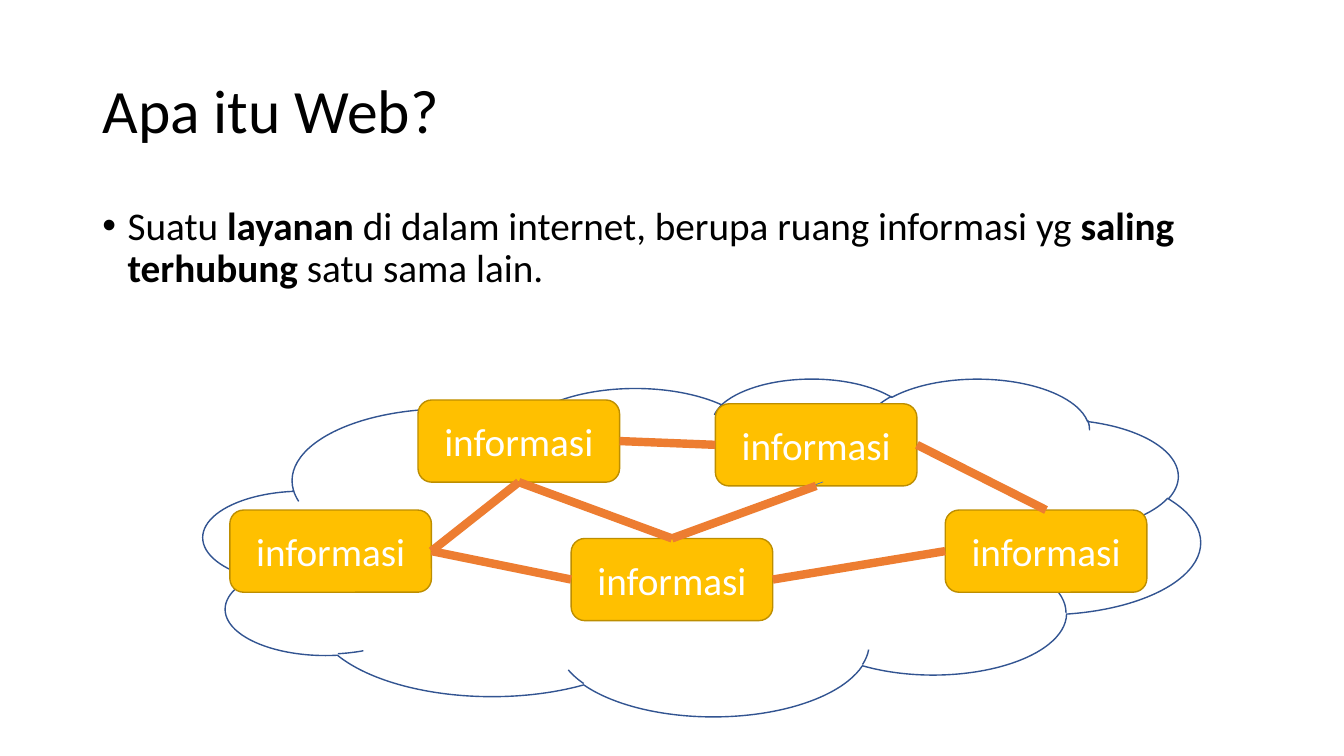
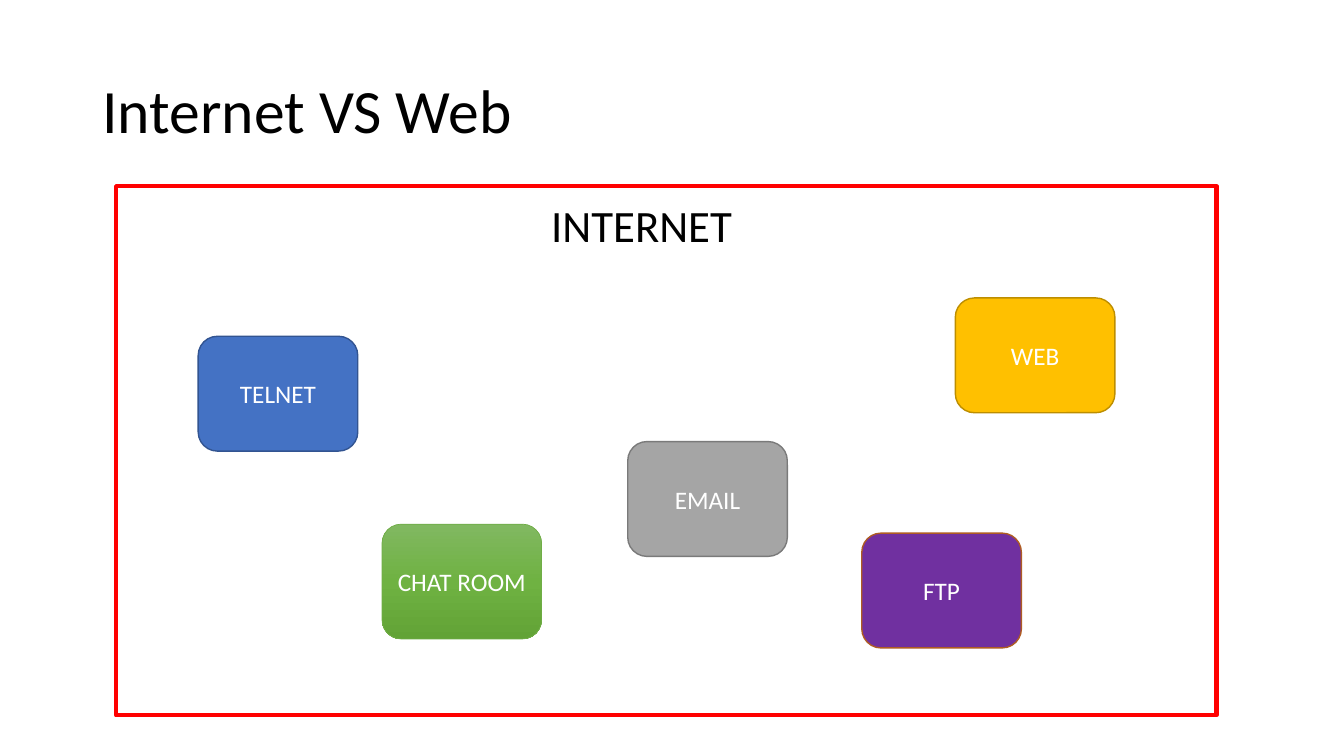
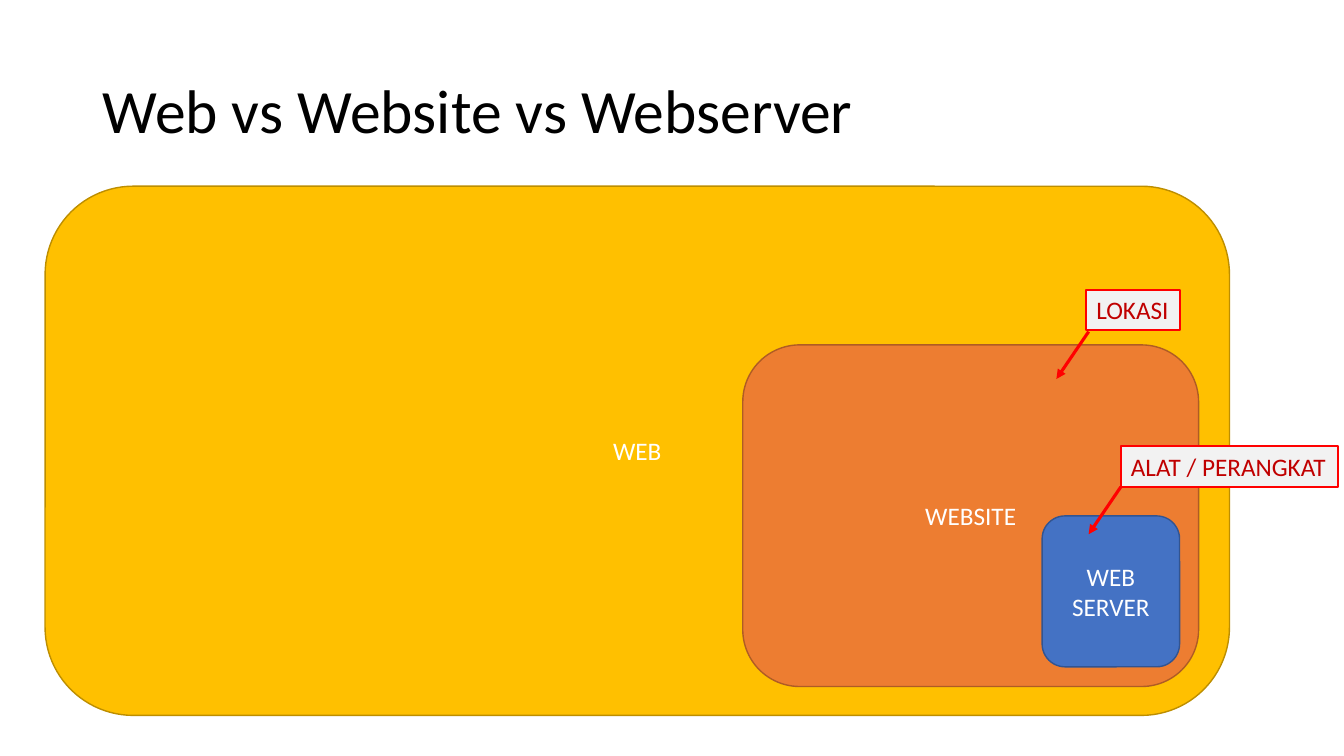
"""Builds three slides that explain the web, the internet and web servers."""
import copy

import pptx
import pptx.dml.color
import pptx.enum.shapes
import pptx.enum.text
import pptx.oxml
import pptx.oxml.ns
import pptx.util

Pt = pptx.util.Pt
RGB = pptx.dml.color.RGBColor
SHAPE = pptx.enum.shapes.MSO_SHAPE
ALIGN = pptx.enum.text.PP_ALIGN
ANCHOR = pptx.enum.text.MSO_ANCHOR
AUTO_SIZE = pptx.enum.text.MSO_AUTO_SIZE
qn = pptx.oxml.ns.qn

FONT = "Calibri"
BLACK = RGB(0x00, 0x00, 0x00)
WHITE = RGB(0xFF, 0xFF, 0xFF)
RED = RGB(0xFF, 0x00, 0x00)
DARK_RED = RGB(0xC0, 0x00, 0x00)
PALE_GREY = RGB(0xF2, 0xF2, 0xF2)
GOLD, GOLD_EDGE = RGB(0xFF, 0xC0, 0x00), RGB(0xBD, 0x8E, 0x00)
BLUE, BLUE_EDGE = RGB(0x44, 0x72, 0xC4), RGB(0x32, 0x54, 0x91)
GREY, GREY_EDGE = RGB(0xA5, 0xA5, 0xA5), RGB(0x7A, 0x7A, 0x7A)
ORANGE, ORANGE_EDGE = RGB(0xED, 0x7D, 0x31), RGB(0xAF, 0x5C, 0x24)
PURPLE = RGB(0x70, 0x30, 0xA0)
GREEN_EDGE = RGB(0x70, 0xAD, 0x47)
GREENS = (RGB(0x81, 0xB8, 0x61), RGB(0x6F, 0xB2, 0x42), RGB(0x62, 0xA3, 0x36))

TITLE_AREA = (66, 28.8, 828, 104.4)
BODY_AREA = (66, 144, 828, 342.6)
TOP, BOTTOM, LEFT, RIGHT = 0, 2, 1, 3

DEFINITION = [
    ("Suatu ", False),
    ("layanan", True),
    (" di dalam internet, berupa ruang informasi yg ", False),
    ("saling terhubung ", True),
    ("satu sama lain.", False),
]
CLOUD_AREA = (145.4, 270, 712, 241.2)
NODE_SIZE = (144, 58.7)
NODES = {
    "west": (164.2, 364.3),
    "northwest": (298.6, 285.7),
    "northeast": (511, 288.4),
    "east": (675.2, 364.3),
    "centre": (408, 384.6),
}
LINKS = [
    (("northwest", BOTTOM), ("centre", TOP), ORANGE, 6),
    (("northeast", BOTTOM), ("centre", TOP), BLUE, 0.5),
    (("centre", TOP), (588, 344.2), BLUE, 0.5),
    (("centre", TOP), ("northeast", BOTTOM), ORANGE, 6),
    (("northwest", RIGHT), ("northeast", LEFT), ORANGE, 6),
    (("centre", RIGHT), ("east", LEFT), ORANGE, 6),
    (("west", RIGHT), ("centre", LEFT), ORANGE, 6),
    (("west", RIGHT), ("northwest", BOTTOM), ORANGE, 6),
    (("northeast", RIGHT), ("east", TOP), ORANGE, 6),
]

INTERNET_AREA = (83, 133, 786, 378)
INTERNET_LABEL_AREA = (386.6, 137.5, 144.7, 46)
SERVICE_SIZE = (114, 82)
SERVICES = [
    ("WEB", (682.4, 212.8), GOLD, GOLD_EDGE, 1),
    ("TELNET", (141.6, 240.2), BLUE, BLUE_EDGE, 1),
    ("EMAIL", (448.4, 315.4), GREY, GREY_EDGE, 1),
    ("CHAT ROOM", (272.9, 374.4), GREENS, GREEN_EDGE, 0.5),
    ("FTP", (615.6, 380.8), PURPLE, ORANGE_EDGE, 1),
]

LAYERS = [
    ("WEB", (32.2, 133, 846, 378), GOLD, GOLD_EDGE),
    ("WEBSITE", (530.6, 246.4, 325.6, 244), ORANGE, ORANGE_EDGE),
    ("WEB SERVER", (744.4, 368.5, 98.2, 107.8), BLUE, BLUE_EDGE),
]
CALLOUTS = [
    ("LOKASI", (776, 207, 67, 29), (777.6, 236.9)),
    ("ALAT / PERANGKAT", (800.7, 318.8, 154.8, 29), (800.6, 347.8)),
]
ARROW_REACH = (-23, 33.8)


def write(frame, text, size=18, colour=WHITE, align=ALIGN.LEFT,
          anchor=ANCHOR.TOP, wrap=True, spacing=None, bullet_indent=None):
    """Fill a text frame with one paragraph of plain or (text, bold) runs."""
    frame.auto_size = AUTO_SIZE.NONE if wrap else AUTO_SIZE.SHAPE_TO_FIT_TEXT
    frame.word_wrap = wrap
    frame.vertical_anchor = anchor
    paragraph = frame.paragraphs[0]
    if bullet_indent:
        properties = paragraph._p.get_or_add_pPr()
        properties.set("marL", str(Pt(bullet_indent)))
        properties.set("indent", str(-Pt(bullet_indent)))
        properties.append(pptx.oxml.parse_xml(
            '<a:buChar xmlns:a="http://schemas.openxmlformats.org/'
            'drawingml/2006/main" char="•"/>'))
    paragraph.alignment = align
    paragraph.space_before = Pt(0)
    if spacing:
        paragraph.line_spacing = spacing
    for words, bold in [(text, False)] if isinstance(text, str) else text:
        run = paragraph.add_run()
        run.text = words
        run.font.name = FONT
        run.font.size = Pt(size)
        run.font.bold = bold
        run.font.color.rgb = colour


def place(part, area):
    """Move a part to an area given in points."""
    part.left, part.top, part.width, part.height = map(Pt, area)


def new_slide(deck, layout, title):
    """Add a slide with the shared title style."""
    slide = deck.slides.add_slide(deck.slide_layouts[layout])
    place(slide.shapes.title, TITLE_AREA)
    write(slide.shapes.title.text_frame, title, size=44, colour=BLACK,
          anchor=ANCHOR.MIDDLE, spacing=0.9)
    return slide


def add_panel(slide, kind, area, fill, edge, edge_width=1):
    """Add an outlined shape with no, solid or three-stop gradient fill."""
    panel = slide.shapes.add_shape(kind, *map(Pt, area))
    panel.shadow.inherit = False
    panel.line.color.rgb = edge
    panel.line.width = Pt(edge_width)
    if fill is None:
        panel.fill.background()
    elif isinstance(fill, RGB):
        panel.fill.solid()
        panel.fill.fore_color.rgb = fill
    else:
        panel.fill.gradient()
        panel.fill.gradient_angle = 270
        stops = panel._element.spPr.find(".//" + qn("a:gsLst"))
        stops.insert(1, copy.deepcopy(stops[0]))
        for index, (stop, shade) in enumerate(
                zip(panel.fill.gradient_stops, fill)):
            stop.color.rgb = shade
            stop.position = index / 2
    return panel


def add_box(slide, text, area, fill, edge, edge_width=1, size=18):
    """Add a rounded box with centred white text."""
    box = add_panel(slide, SHAPE.ROUNDED_RECTANGLE, area, fill, edge, edge_width)
    write(box.text_frame, text, size=size, align=ALIGN.CENTER,
          anchor=ANCHOR.MIDDLE)
    return box


def add_link(slide, start, end, colour, width, arrow=False):
    """Add a straight line between two points in points."""
    link = slide.shapes.add_connector(
        pptx.enum.shapes.MSO_CONNECTOR.STRAIGHT, *map(Pt, start + end))
    link.line.color.rgb = colour
    link.line.width = Pt(width)
    if arrow:
        line = link.line._get_or_add_ln()
        line.append(line.makeelement(qn("a:tailEnd"), {"type": "triangle"}))
    properties = link._element.spPr
    properties.append(properties.makeelement(qn("a:effectLst"), {}))
    return link


def build_definition(deck):
    """Define the web and show linked information in a cloud."""
    slide = new_slide(deck, 1, "Apa itu Web?")
    body = slide.placeholders[1]
    place(body, BODY_AREA)
    write(body.text_frame, DEFINITION, size=28, colour=BLACK, spacing=0.9,
          bullet_indent=18)
    add_panel(slide, SHAPE.CLOUD, CLOUD_AREA, None, BLUE_EDGE)
    nodes = {
        name: add_box(slide, "informasi", corner + NODE_SIZE, GOLD, GOLD_EDGE,
                      size=28)
        for name, corner in NODES.items()
    }
    for start, end, colour, width in LINKS:
        joined = end[0] in nodes
        link = add_link(slide, (0, 0), (0, 0) if joined else end, colour, width)
        link.begin_connect(nodes[start[0]], start[1])
        if joined:
            link.end_connect(nodes[end[0]], end[1])


def build_services(deck):
    """Show the web as one of the services inside the internet."""
    slide = new_slide(deck, 5, "Internet VS Web")
    add_panel(slide, SHAPE.RECTANGLE, INTERNET_AREA, None, RED, 3)
    for name, corner, fill, edge, edge_width in SERVICES:
        add_box(slide, name, corner + SERVICE_SIZE, fill, edge, edge_width)
    internet = slide.shapes.add_textbox(*map(Pt, INTERNET_LABEL_AREA))
    write(internet.text_frame, "INTERNET", size=32, colour=BLACK, wrap=False)


def build_layers(deck):
    """Nest web server, website and web, with callouts."""
    slide = new_slide(deck, 5, "Web vs Website vs Webserver")
    for layer in LAYERS:
        add_box(slide, *layer)
    for text, area, start in CALLOUTS:
        callout = add_panel(slide, SHAPE.RECTANGLE, area, PALE_GREY, RED, 1.5)
        write(callout.text_frame, text, colour=DARK_RED, wrap=False)
        tip = (start[0] + ARROW_REACH[0], start[1] + ARROW_REACH[1])
        add_link(slide, start, tip, RED, 2.25, arrow=True)


def main():
    """Build and save the deck."""
    deck = pptx.Presentation()
    deck.slide_width, deck.slide_height = Pt(960), Pt(540)
    build_definition(deck)
    build_services(deck)
    build_layers(deck)
    deck.save("out.pptx")


if __name__ == "__main__":
    main()
